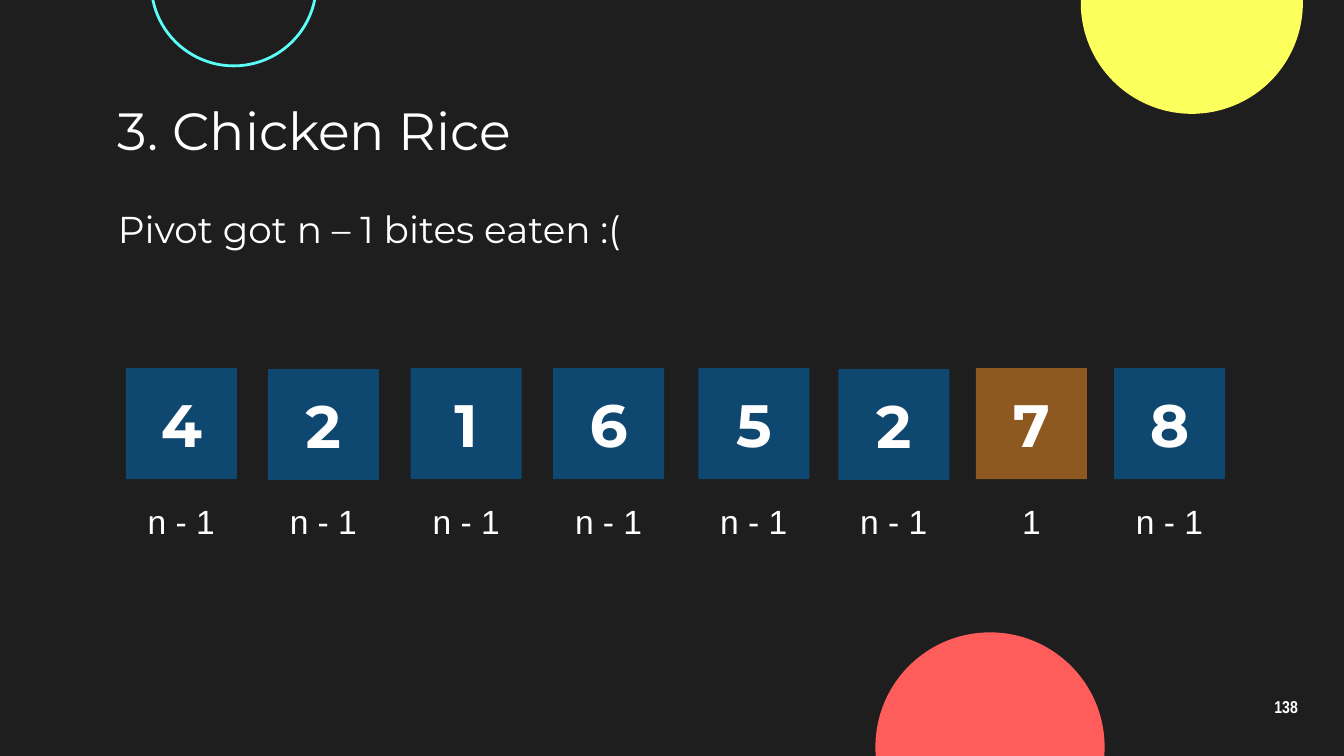
from lxml import etree
from pptx import Presentation
from pptx.dml.color import RGBColor
from pptx.enum.shapes import MSO_SHAPE
from pptx.enum.text import MSO_ANCHOR, MSO_AUTO_SIZE, PP_ALIGN
from pptx.oxml.ns import qn
from pptx.util import Pt

OVAL, RECTANGLE = MSO_SHAPE.OVAL, MSO_SHAPE.RECTANGLE
TOP, MIDDLE = MSO_ANCHOR.TOP, MSO_ANCHOR.MIDDLE
LEFT, CENTER = PP_ALIGN.LEFT, PP_ALIGN.CENTER

THEME = {
    "background": RGBColor.from_string("1E1E1E"),
    "text": RGBColor.from_string("FFFFFF"),
    "yellow": RGBColor.from_string("FDFF5C"),
    "cyan": RGBColor.from_string("5CFFF8"),
    "red": RGBColor.from_string("FF5C5C"),
    "tile": RGBColor.from_string("0070C0"),
    "pivot": RGBColor.from_string("FF9225"),
    "font": "Montserrat",
    "label_font": "Arial",
    "number_font": "Arial Narrow",
    "title_size": 28,
    "body_size": 20,
    "tile_size": 32,
    "label_size": 18,
    "number_size": 9.2,
}


def write(shape, text, size, font, bold=False, align=CENTER, anchor=MIDDLE, inset=7.2):
    """Put one formatted paragraph in a shape."""
    frame = shape.text_frame
    frame.text = text
    frame.word_wrap = True
    frame.auto_size = MSO_AUTO_SIZE.NONE
    frame.vertical_anchor = anchor
    frame.margin_left = frame.margin_right = Pt(7.2)
    frame.margin_top = frame.margin_bottom = Pt(inset)
    paragraph = frame.paragraphs[0]
    paragraph.alignment = align
    paragraph.font.size = Pt(size)
    paragraph.font.name = font
    paragraph.font.bold = bold
    paragraph.font.color.rgb = THEME["text"]
    return paragraph


def add_shape(kind, left, top, side, fill=None, line=None):
    """Add a square-sided shape with an optional fill and outline."""
    shape = slide.shapes.add_shape(kind, Pt(left), Pt(top), Pt(side), Pt(side))
    shape.shadow.inherit = False
    if fill is None:
        shape.fill.background()
    else:
        shape.fill.solid()
        shape.fill.fore_color.rgb = fill
    if line is None:
        shape.line.fill.background()
    else:
        shape.line.color.rgb = line
        shape.line.width = Pt(1.5)
    return shape


presentation = Presentation()
presentation.slide_width, presentation.slide_height = Pt(720), Pt(405)
slide = presentation.slides.add_slide(presentation.slide_layouts[5])
slide.background.fill.solid()
slide.background.fill.fore_color.rgb = THEME["background"]

# Decorative circles
add_shape(OVAL, 579, -58, 119, fill=THEME["yellow"])
add_shape(OVAL, 81, -53.2, 88.5, line=THEME["cyan"])
add_shape(OVAL, 469, 338.8, 122.8, fill=THEME["red"])

# Title
title = slide.shapes.title
title.left, title.top, title.width, title.height = Pt(56), Pt(51.4), Pt(608), Pt(36.5)
write(title, "3. Chicken Rice", THEME["title_size"], THEME["font"], align=LEFT)

# Statement
statement = slide.shapes.add_textbox(Pt(56), Pt(103), Pt(608), Pt(36.5))
write(statement, "Pivot got n – 1 bites eaten :(", THEME["body_size"], THEME["font"],
      align=LEFT, anchor=TOP)

# Slide number
number = slide.shapes.add_textbox(Pt(667.5), Pt(367), Pt(43), Pt(24.5))
paragraph = write(number, "138", THEME["number_size"], THEME["number_font"], bold=True)
paragraph.line_spacing = 0.9

# Array tiles with the bites counted below: value, left, top
TILE_SIDE, LABEL_WIDTH, PIVOT = 59.5, 54, "7"
tiles = [("4", 67.4, 197.2), ("2", 143.5, 197.8), ("1", 220, 197.2), ("6", 296.3, 197.2),
         ("5", 374.1, 197.2), ("2", 449.1, 197.8), ("7", 522.8, 197.2), ("8", 596.8, 197.2)]
for value, left, top in tiles:
    is_pivot = value == PIVOT
    tile = add_shape(RECTANGLE, left, top, TILE_SIDE,
                     fill=THEME["pivot" if is_pivot else "tile"])
    color = tile.fill._xPr.find(qn("a:solidFill"))[0]
    etree.SubElement(color, qn("a:alpha"), val="50000")
    write(tile, value, THEME["tile_size"], THEME["font"], bold=True, inset=3.6)

    label_left = left + (TILE_SIDE - LABEL_WIDTH) / 2
    label = slide.shapes.add_textbox(Pt(label_left), Pt(265), Pt(LABEL_WIDTH), Pt(29))
    write(label, "1" if is_pivot else "n - 1", THEME["label_size"], THEME["label_font"],
          anchor=TOP, inset=3.6)

presentation.save("out.pptx")
